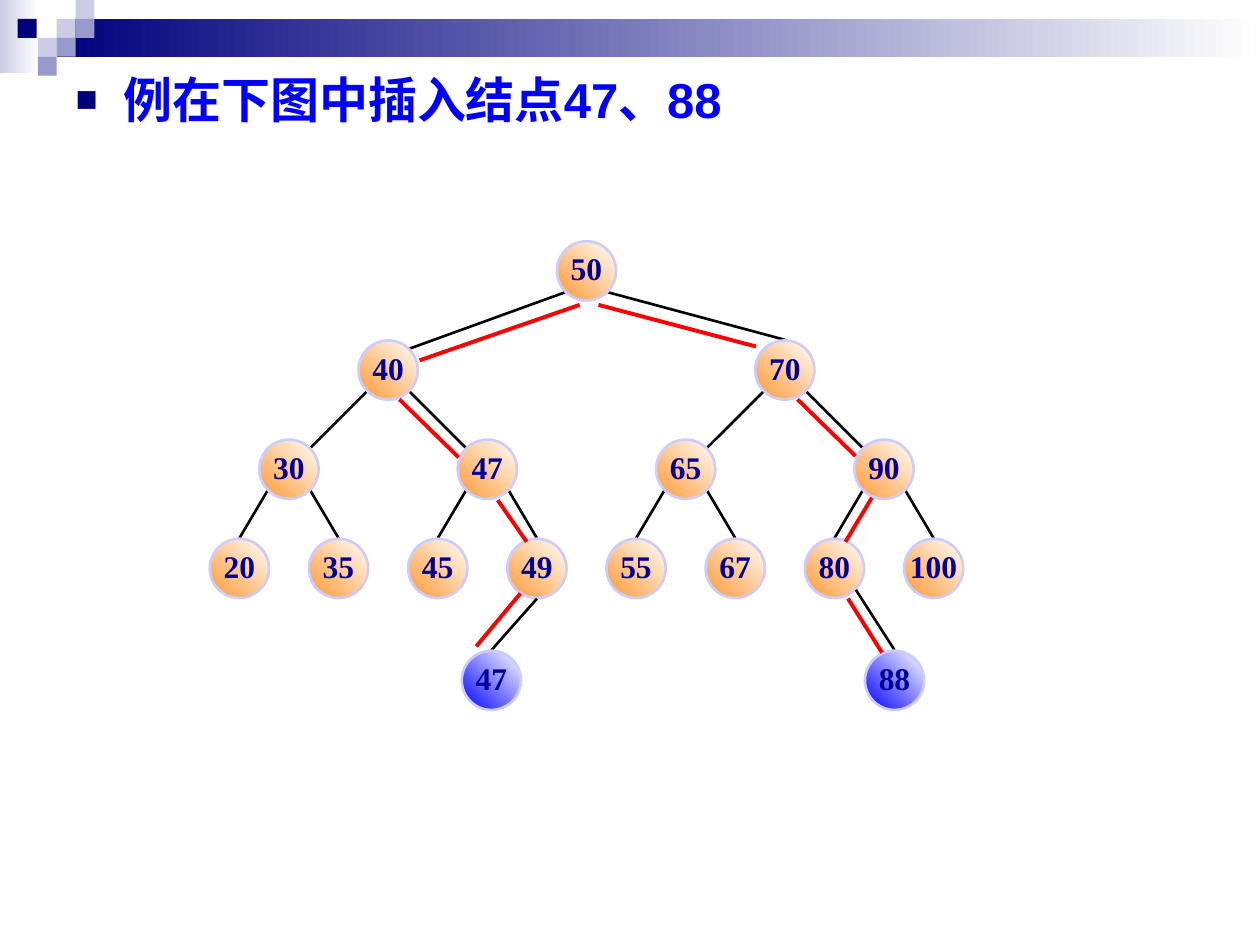
from dataclasses import dataclass

from lxml.etree import SubElement
from pptx import Presentation
from pptx.dml.color import RGBColor as RGB
from pptx.enum.shapes import MSO_CONNECTOR as CONN, MSO_SHAPE as SHAPE
from pptx.enum.text import MSO_ANCHOR as ANCHOR, MSO_AUTO_SIZE as AUTOSIZE, PP_ALIGN as ALIGN
from pptx.oxml.ns import qn
from pptx.util import Inches, Pt


@dataclass(frozen=True)
class Theme:
    navy: str = "00007D"
    lavender: str = "CCCCE6"
    violet: str = "9999CC"
    white: str = "FFFFFF"
    heading: str = "0000FF"
    node: str = "FF9933"
    inserted: str = "0000FF"
    node_line: str = "CCCCFF"
    node_text: str = "000099"
    edge: str = "000000"
    search: str = "FF0000"
    heading_font: str = "Arial"
    node_font: str = "Times New Roman"
    heading_size: int = 28
    node_size: int = 18
    edge_width: float = 1.5
    search_width: float = 2.25


T = Theme()

# Tree geometry, in inches
LEVELS = [
    ["50"],
    ["40", "70"],
    ["30", "47", "65", "90"],
    ["20", "35", "45", "49", "55", "67", "80", "100"],
]
DIAMETER = 0.47
PITCH = 5.51 / 7           # leaf to leaf, and level to level
FIRST_X, FIRST_Y = 1.9, 2.15
DIAGONAL = 0.17            # offset of the 45-degree points on a node
TOP = BOTTOM = 0.24

# Small squares of the header: left, top, colour
SQUARES = [
    (0.45, 0.15, T.lavender), (0.6, 0, T.lavender), (0.6, 0.15, T.violet),
    (0.3, 0.3, T.lavender), (0.14, 0.15, T.navy), (0.45, 0.3, T.violet),
    (0.3, 0.45, T.violet),
]

# Search paths followed by the two insertions
PATH_47 = [((4.6, 2.42), (3.33, 2.86)), ((3.17, 3.17), (3.64, 3.63)),
           ((3.95, 3.97), (4.18, 4.3)), ((4.13, 4.71), (3.78, 5.13))]
PATH_88 = [((4.75, 2.42), (6, 2.75)), ((6.33, 3.17), (6.79, 3.62)),
           ((6.92, 3.95), (6.71, 4.3)), ((6.73, 4.75), (7, 5.18))]


def set_gradient(sp, start, angle):
    sp.fill.gradient()
    sp.fill.gradient_angle = angle
    for stop, color in zip(sp.fill.gradient_stops, (start, T.white)):
        stop.color.rgb = RGB.from_string(color)


def add_box(shapes, kind, x, y, w, h):
    sp = shapes.add_shape(kind, Inches(x), Inches(y), Inches(w), Inches(h))
    sp.shadow.inherit = False
    sp.line.fill.background()
    return sp


def add_line(shapes, start, end, color=T.edge, width=T.edge_width):
    cx = shapes.add_connector(CONN.STRAIGHT, *map(Inches, (*start, *end)))
    cx.line.color.rgb = RGB.from_string(color)
    cx.line.width = Pt(width)
    SubElement(cx._element.spPr, qn("a:effectLst"))


def style_run(r, font, size, color):
    r.font.name, r.font.size, r.font.bold = font, Pt(size), True
    r.font.color.rgb = RGB.from_string(color)


def add_node(shapes, center, label, color=T.node):
    x, y = center
    sp = add_box(shapes, SHAPE.OVAL, x - DIAMETER / 2, y - DIAMETER / 2, DIAMETER, DIAMETER)
    set_gradient(sp, color, 45)
    sp.line.color.rgb = RGB.from_string(T.node_line)
    sp.line.width = Pt(1.5)
    tf = sp.text_frame
    tf.word_wrap = False
    tf.vertical_anchor = ANCHOR.MIDDLE
    tf.margin_left = tf.margin_right = Inches(0.1)
    tf.margin_top, tf.margin_bottom = Inches(0.01), Inches(0.05)
    tf.text = label
    p = tf.paragraphs[0]
    p.alignment = ALIGN.CENTER
    style_run(p.runs[0], T.node_font, T.node_size, T.node_text)


def node_center(level, i):
    span = 2 ** (len(LEVELS) - 1 - level)    # leaves below this node
    return FIRST_X + PITCH * (span * i + (span - 1) / 2), FIRST_Y + PITCH * level


def shift(point, dx, dy):
    return point[0] + dx, point[1] + dy


def add_header(s):
    band = add_box(s.shapes, SHAPE.RECTANGLE, 0, 0, 0.31, 0.58)
    set_gradient(band, T.lavender, 0)
    bar = add_box(s.shapes, SHAPE.RECTANGLE, 0.45, 0.15, 9.55, 0.3)
    set_gradient(bar, T.navy, 0)
    for x, y, color in SQUARES:
        sp = add_box(s.shapes, SHAPE.RECTANGLE, x, y, 0.15, 0.15)
        sp.fill.solid()
        sp.fill.fore_color.rgb = RGB.from_string(color)


def add_heading(s, text):
    title = s.shapes.title._element
    title.getparent().remove(title)
    body = s.placeholders[1]
    body.left, body.top, body.width, body.height = map(Inches, (0.5, 0.5, 9, 7))
    tf = body.text_frame
    tf.auto_size = AUTOSIZE.NONE
    tf.text = text
    p = tf.paragraphs[0]
    # Square bullet with a hanging indent
    pPr = p._p.get_or_add_pPr()
    pPr.set("marL", str(Inches(0.38)))
    pPr.set("indent", str(-Inches(0.38)))
    SubElement(SubElement(pPr, qn("a:buClr")), qn("a:srgbClr"), val=T.navy)
    SubElement(pPr, qn("a:buSzPct"), val="75000")
    SubElement(pPr, qn("a:buChar"), char="■")
    p.space_before = Pt(0)
    style_run(p.runs[0], T.heading_font, T.heading_size, T.heading)


def add_tree(shapes):
    # Edges leave a parent diagonally; leaves and node 70 are met at the top
    for level, labels in enumerate(LEVELS[1:], start=1):
        for i, label in enumerate(labels):
            side = 1 if i % 2 else -1
            start = shift(node_center(level - 1, i // 2), side * DIAGONAL, DIAGONAL)
            at_top = level == len(LEVELS) - 1 or label == "70"
            offset = (0, -TOP) if at_top else (-side * DIAGONAL, -DIAGONAL)
            add_line(shapes, start, shift(node_center(level, i), *offset))
    for level, labels in enumerate(LEVELS):
        for i, label in enumerate(labels):
            add_node(shapes, node_center(level, i), label)


def add_insertion(shapes, label, center, edge_start, search_path):
    add_line(shapes, edge_start, shift(center, 0, -TOP))
    add_node(shapes, center, label, T.inserted)
    for start, end in search_path:
        add_line(shapes, start, end, T.search, T.search_width)


def main():
    prs = Presentation()
    prs.slide_width, prs.slide_height = Inches(10), Inches(7.5)
    s = prs.slides.add_slide(prs.slide_layouts[1])
    add_header(s)
    add_heading(s, "例在下图中插入结点47、88")
    add_tree(s.shapes.add_group_shape().shapes)
    # New nodes below 49 and 80
    add_insertion(s.shapes, "47", (3.9, 5.4), shift(node_center(3, 3), 0, BOTTOM), PATH_47)
    add_insertion(s.shapes, "88", (7.1, 5.4),
                  shift(node_center(3, 6), DIAGONAL, DIAGONAL), PATH_88)
    prs.save("out.pptx")


if __name__ == "__main__":
    main()
